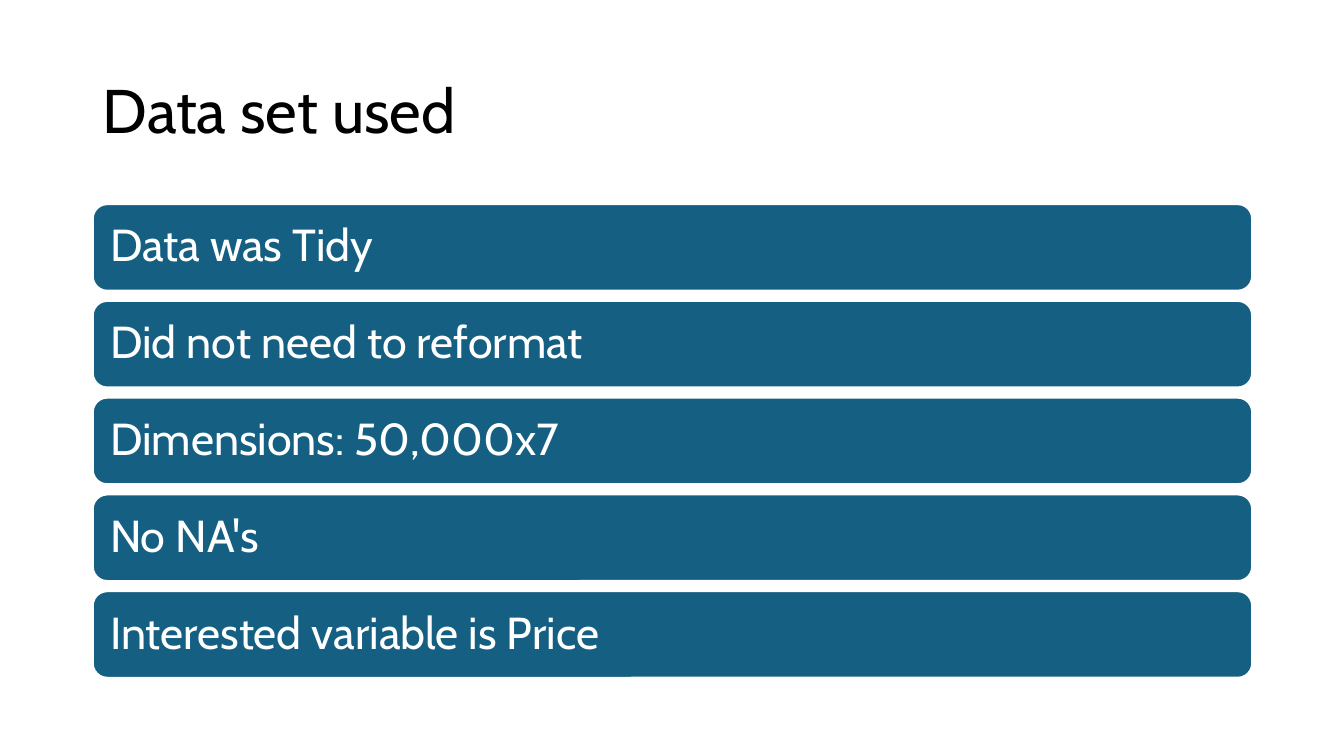
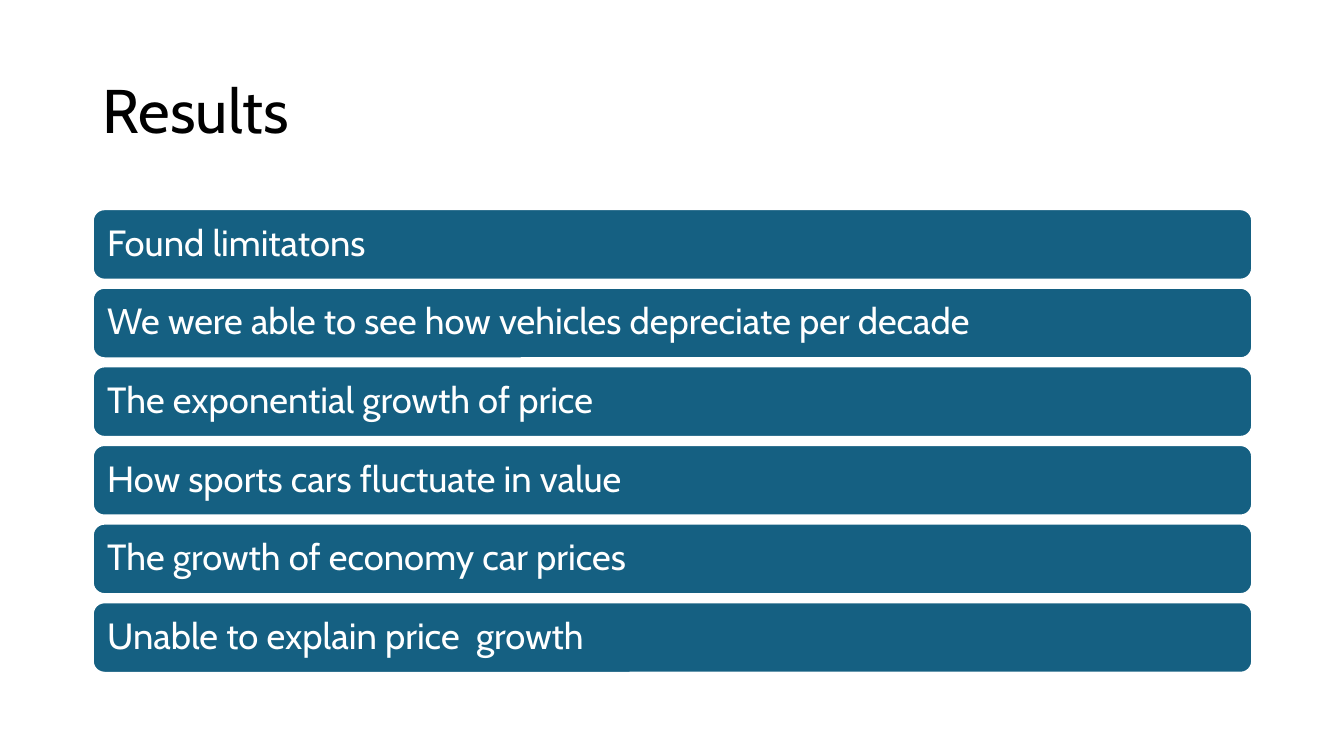
from collections import namedtuple

from pptx import Presentation
from pptx.dml.color import RGBColor
from pptx.enum import shapes, text
from pptx.util import Pt

EMU_PER_PX = 9144
TITLE_ONLY = 5
FONT = "Cabin"
BLACK = RGBColor(0x00, 0x00, 0x00)
WHITE = RGBColor(0xFF, 0xFF, 0xFF)
TEAL = RGBColor(0x15, 0x60, 0x82)

Box = namedtuple("Box", "left top width height")
SLIDE = Box(0, 0, 1333, 750)
TITLE = Box(92, 40, 1150, 145)
BODY = Box(92, 200, 1150, 475)

PAGES = [
    ("Data set used", 32, [
        "Data was Tidy",
        "Did not need to reformat",
        "Dimensions: 50,000x7",
        "No NA's",
        "Interested variable is Price",
    ]),
    ("Results", 26, [
        "Found limitatons",
        "We were able to see how vehicles depreciate per decade",
        "The exponential growth of price",
        "How sports cars fluctuate in value",
        "The growth of economy car prices",
        "Unable to explain price  growth",
    ]),
]


def px(length):
    return round(length * EMU_PER_PX)


def write_text(shape, words, *, size, color, inset=None):
    frame = shape.text_frame
    frame.word_wrap = True
    frame.auto_size = text.MSO_AUTO_SIZE.NONE
    frame.vertical_anchor = text.MSO_ANCHOR.MIDDLE
    if inset is not None:
        frame.margin_left = frame.margin_right = px(inset)
        frame.margin_top = frame.margin_bottom = px(inset)
    para = frame.paragraphs[0]
    para.alignment = text.PP_ALIGN.LEFT
    para.line_spacing = 0.9
    span = para.add_run()
    span.text = words
    span.font.name = FONT
    span.font.size = Pt(size)
    span.font.color.rgb = color


def place_title(page, box, words):
    title = page.shapes.title
    title.left, title.top, title.width, title.height = map(px, box)
    write_text(title, words, size=44, color=BLACK)


def add_bar(page, box, words, size):
    bar = page.shapes.add_shape(
        shapes.MSO_SHAPE.ROUNDED_RECTANGLE, *map(px, box))
    bar.shadow.inherit = False
    bar.fill.solid()
    bar.fill.fore_color.rgb = TEAL
    bar.line.color.rgb = WHITE
    bar.line.width = Pt(1.5)
    write_text(bar, words, size=size, color=WHITE, inset=round(size * 0.42))


def add_bar_stack(page, box, items, size):
    height = round(size * 2.7)
    gap = round(size * 0.3)
    pitch = height + gap
    top = box.top + (box.height - len(items) * pitch + gap) / 2
    for index, words in enumerate(items):
        bar_box = Box(box.left, top + index * pitch, box.width, height)
        add_bar(page, bar_box, words, size)


def add_list_page(deck, heading, size, items):
    page = deck.slides.add_slide(deck.slide_layouts[TITLE_ONLY])
    place_title(page, TITLE, heading)
    add_bar_stack(page, BODY, items, size)


def main():
    deck = Presentation()
    deck.slide_width = px(SLIDE.width)
    deck.slide_height = px(SLIDE.height)
    for heading, size, items in PAGES:
        add_list_page(deck, heading, size, items)
    deck.save("out.pptx")


if __name__ == "__main__":
    main()
